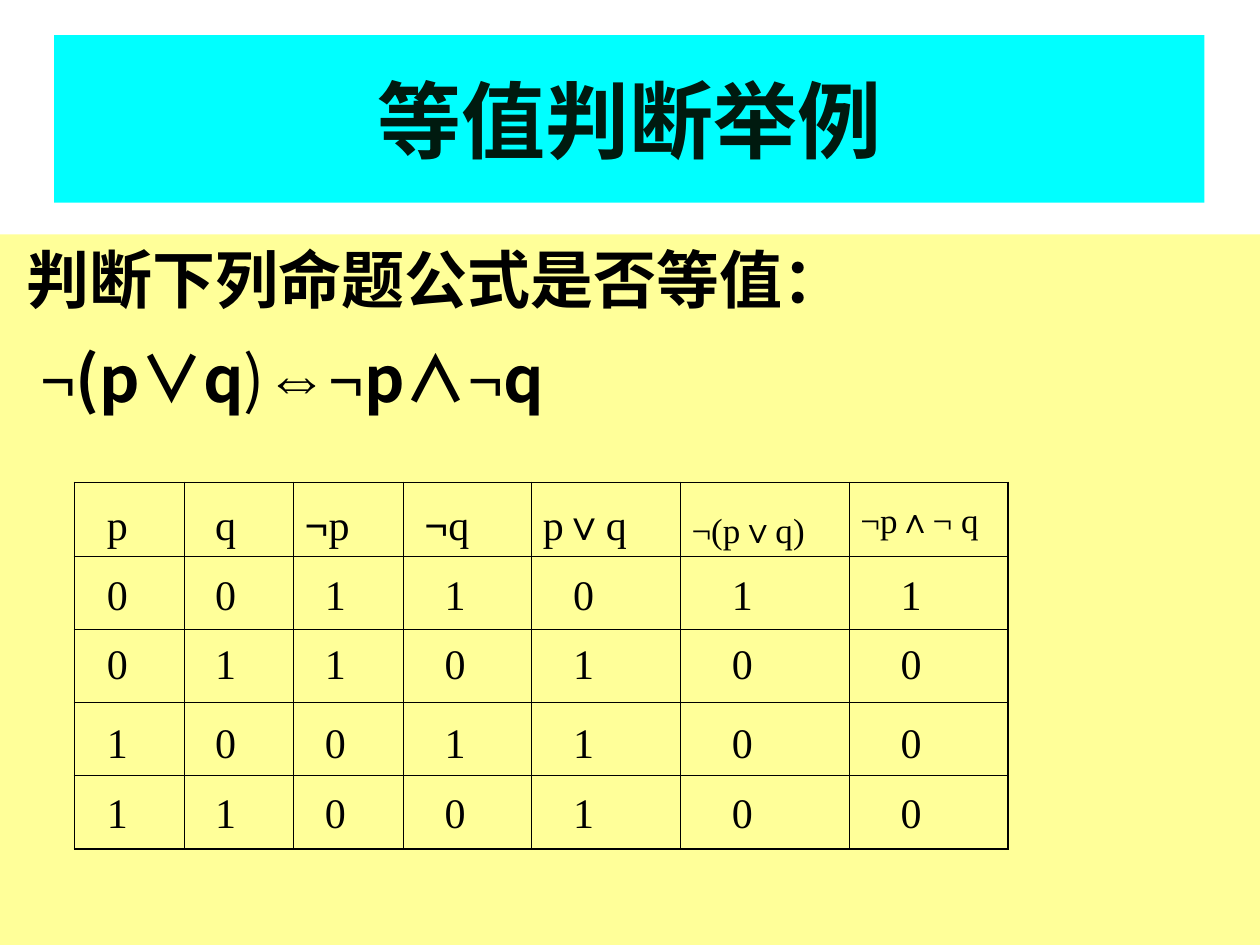
from dataclasses import dataclass

from lxml import etree
from pptx import Presentation
from pptx import util as u
from pptx.dml.color import RGBColor
from pptx.enum import shapes, text
from pptx.oxml import ns

Inches, Pt = u.Inches, u.Pt


@dataclass(frozen=True)
class Theme:
    title_fill: str = "00FFFF"
    body_fill: str = "FFFF99"
    title_text: str = "001A0F"
    ink: str = "000000"
    heading: str = "Noto Sans CJK SC"
    serif: str = "Times New Roman"
    symbol: str = "Arial"
    title_size: int = 48
    body_size: int = 36
    cell_size: int = 24
    small_size: int = 20
    outer_line: float = 1.08
    inner_line: float = 0.45


theme = Theme()


def add_run(paragraph, words, size, face, bold=False, color=theme.ink):
    run = paragraph.add_run()
    run.text = words
    run.font.size, run.font.bold, run.font.name = Pt(size), bold, face
    run.font.color.rgb = RGBColor.from_string(color)
    etree.SubElement(run.font._element, ns.qn("a:ea"), typeface=face)


def add_panel(left, top, width, height, fill):
    panel = slide.shapes.add_shape(shapes.MSO_SHAPE.RECTANGLE, Inches(left),
                                   Inches(top), Inches(width), Inches(height))
    panel.shadow.inherit = False
    panel.fill.solid()
    panel.fill.fore_color.rgb = RGBColor.from_string(fill)
    panel.line.fill.background()
    panel.text_frame.word_wrap = True
    return panel.text_frame


presentation = Presentation()
presentation.slide_width, presentation.slide_height = Inches(10), Inches(7.5)
slide = presentation.slides.add_slide(presentation.slide_layouts[6])

# Title
title = add_panel(0.43, 0.28, 9.13, 1.33, theme.title_fill)
title.vertical_anchor = text.MSO_ANCHOR.MIDDLE
title.paragraphs[0].alignment = text.PP_ALIGN.CENTER
add_run(title.paragraphs[0], "等值判断举例", theme.title_size, theme.heading,
        True, theme.title_text)

# Question and formula
body = add_panel(0, 1.86, 10, 5.64, theme.body_fill)
body.vertical_anchor = text.MSO_ANCHOR.TOP
question, formula = body.paragraphs[0], body.add_paragraph()
formula.space_before = Pt(13.5)
for paragraph, indent in ((question, 0.11), (formula, 0.22)):
    paragraph.alignment = text.PP_ALIGN.LEFT
    paragraph._p.get_or_add_pPr().set("marL", str(Inches(indent)))
add_run(question, "判断下列命题公式是否等值：", theme.body_size, theme.heading, True)
for words, face, bold in (
    ("¬", theme.serif, True), ("(p∨q", theme.heading, True),
    (")", theme.heading, False), ("⇔", theme.symbol, True),
    ("¬", theme.serif, True), ("p∧", theme.heading, True),
    ("¬", theme.serif, True), ("q", theme.heading, True),
):
    add_run(formula, words, theme.body_size, face, bold)

# Truth table grid
column_widths = (0.87, 0.87, 0.87, 1.02, 1.18, 1.34, 1.26)
row_count, column_count = 5, len(column_widths)
grid = slide.shapes.add_table(row_count, column_count, Inches(0.59), Inches(3.83),
                              Inches(7.4), Inches(2.91)).table
grid.first_row = grid.horz_banding = False
for column, width in zip(grid.columns, column_widths):
    column.width = Inches(width)
for r in range(row_count):
    for c in range(column_count):
        cell = grid.cell(r, c)
        cell.fill.background()
        properties = cell._tc.get_or_add_tcPr()
        edges = (("lnL", c == 0), ("lnR", c == column_count - 1),
                 ("lnT", r == 0), ("lnB", r == row_count - 1))
        for position, (edge, outer) in enumerate(edges):
            weight = theme.outer_line if outer else theme.inner_line
            line = etree.Element(ns.qn(f"a:{edge}"), w=str(Pt(weight)))
            fill = etree.SubElement(line, ns.qn("a:solidFill"))
            etree.SubElement(fill, ns.qn("a:srgbClr"), val=theme.ink)
            properties.insert(position, line)

# Headings: left, top, width, size, runs as (words, bold)
header_top = 3.91
entries = [
    (0.75, header_top, 0.55, theme.cell_size, [("p", False)]),
    (1.61, header_top, 0.55, theme.cell_size, [("q", False)]),
    (2.32, header_top, 0.79, theme.cell_size, [("¬", True), ("p", False)]),
    (3.27, header_top, 0.79, theme.cell_size, [("¬", True), ("q", False)]),
    (4.21, header_top, 1.1, theme.cell_size, [("p∨q", False)]),
    (5.39, 3.99, 1.1, theme.small_size, [("¬(p∨q)", False)]),
    (6.73, header_top, 1.42, theme.small_size,
     [("¬p", False), ("∧", True), ("¬ q", False)]),
]

# Truth values, computed from p and q
value_lefts = (0.75, 1.61, 2.48, 3.43, 4.45, 5.71, 7.05)
value_tops = (4.46, 5.01, 5.64, 6.19)
for index, top in enumerate(value_tops):
    p, q = divmod(index, 2)
    values = (p, q, 1 - p, 1 - q, p | q, 1 - (p | q), (1 - p) & (1 - q))
    for left, value in zip(value_lefts, values):
        entries.append((left, top, 0.55, theme.cell_size, [(str(value), False)]))

for left, top, width, size, runs in entries:
    height = 0.5 if size == theme.cell_size else 0.44
    box = slide.shapes.add_textbox(Inches(left), Inches(top), Inches(width), Inches(height))
    box.text_frame.word_wrap = True
    for words, bold in runs:
        add_run(box.text_frame.paragraphs[0], words, size, theme.serif, bold)

presentation.save("out.pptx")
